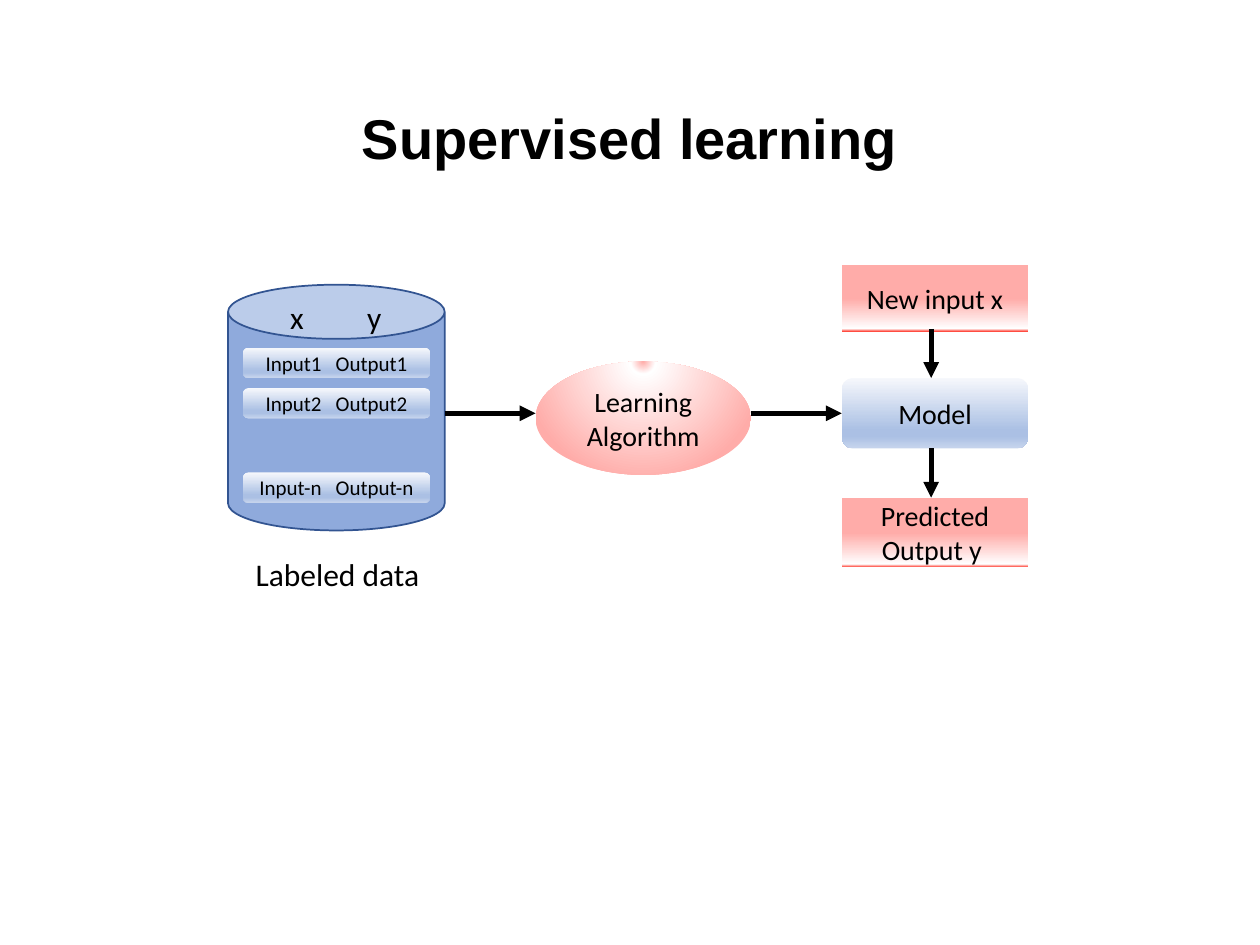
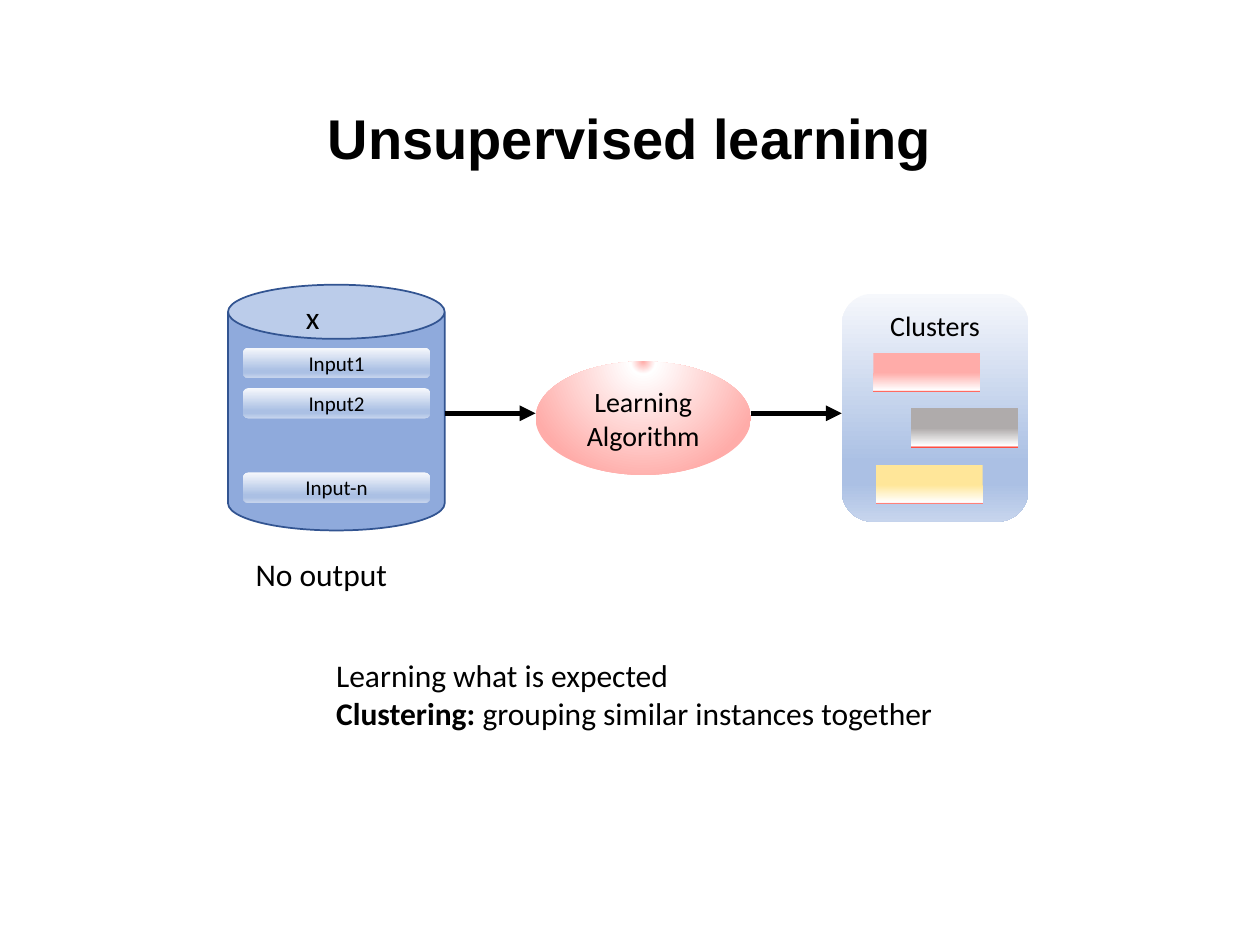
"""Build two slides that compare supervised and unsupervised learning."""
import lxml.etree
import pptx
import pptx.dml.color
import pptx.enum.shapes
import pptx.enum.text
import pptx.oxml
import pptx.oxml.ns
import pptx.util

Pt = pptx.util.Pt
RGBColor = pptx.dml.color.RGBColor
Shape = pptx.enum.shapes.MSO_SHAPE
Anchor = pptx.enum.text.MSO_ANCHOR
Align = pptx.enum.text.PP_ALIGN
qn = pptx.oxml.ns.qn

BLACK = RGBColor(0x00, 0x00, 0x00)
WHITE = RGBColor(0xFF, 0xFF, 0xFF)
CAN_FILL = RGBColor(0x8F, 0xAA, 0xDC)
CAN_LINE = RGBColor(0x32, 0x54, 0x91)
PINK = RGBColor(0xFF, 0xAC, 0xA9)
RED = RGBColor(0xFF, 0x4C, 0x41)
GRAY = RGBColor(0xAF, 0xAB, 0xAB)
YELLOW = RGBColor(0xFF, 0xE6, 0x99)
BLUE_PALE = RGBColor(0xF6, 0xF8, 0xFC)
BLUE_MID = RGBColor(0xAB, 0xC0, 0xE4)
BLUE_SOFT = RGBColor(0xC7, 0xD5, 0xED)

DOWN = '<a:lin ang="5400000" scaled="0"/>'
FROM_TOP = ('<a:path path="circle">'
            '<a:fillToRect l="50000" t="-80000" r="50000" b="180000"/></a:path>')
BLUE_STOPS = [(0, BLUE_PALE), (74, BLUE_MID), (83, BLUE_MID), (100, BLUE_SOFT)]
OVAL_STOPS = [(0, PINK), (10, WHITE), (100, PINK)]
PINK_STOPS, GRAY_STOPS, YELLOW_STOPS = (
    [(51, color), (96, WHITE), (100, RED)] for color in (PINK, GRAY, YELLOW))

CAN_LEFT, CAN_WIDTH = 130.3, 123.8
ROW_LEFT, RESULT_LEFT, RESULT_WIDTH = 139, 481, 106.6
ARROW_LEVEL, DOWN_ARROW_LEFT = 236.16, 532.1
ROW_TOPS = [198.7, 221.8, 270]


def write(box, paragraphs, size, align=Align.LEFT, tabs=()):
    """Write paragraphs, each a list of (words, bold) pairs, into a box."""
    frame = box.text_frame
    frame.word_wrap = True
    for index, spans in enumerate(paragraphs):
        para = frame.paragraphs[0] if index == 0 else frame.add_paragraph()
        para.alignment = align
        if tabs:
            properties = para._p.get_or_add_pPr()
            tab_list = lxml.etree.SubElement(properties, qn("a:tabLst"))
            for position, kind in tabs:
                lxml.etree.SubElement(tab_list, qn("a:tab"), pos=str(Pt(position)), algn=kind)
        for words, bold in spans:
            span = para.add_run()
            span.text = words
            span.font.name = "Calibri"
            span.font.size = Pt(size)
            span.font.bold = bold
            span.font.color.rgb = BLACK


def add_gradient(page, kind, left, top, width, height, stops, direction=DOWN):
    """Add a borderless shape with a gradient fill."""
    shape = page.shapes.add_shape(kind, Pt(left), Pt(top), Pt(width), Pt(height))
    shape.shadow.inherit = False
    shape.line.fill.background()
    shape.fill.solid()
    stop_xml = "".join(
        f'<a:gs pos="{place * 1000}"><a:srgbClr val="{color}"/></a:gs>' for place, color in stops)
    gradient = pptx.oxml.parse_xml(
        f'<a:gradFill {pptx.oxml.ns.nsdecls("a")} rotWithShape="1">'
        f"<a:gsLst>{stop_xml}</a:gsLst>{direction}</a:gradFill>")
    properties = shape.element.spPr
    properties.replace(properties.find(qn("a:solidFill")), gradient)
    shape.text_frame.vertical_anchor = Anchor.MIDDLE
    return shape


deck = pptx.Presentation()
deck.slide_width, deck.slide_height = Pt(720), Pt(540)

lessons = [
    ("Supervised learning", ["\tInput1\tOutput1", "\tInput2\tOutput2", "\tInput-n\tOutput-n"],
     "x\ty", 11, "Labeled data"),
    ("Unsupervised learning", ["Input1", "Input2", "Input-n"], "x", 20, "No output"),
]

for title, rows, header, header_inset, caption in lessons:
    supervised = title == "Supervised learning"
    page = deck.slides.add_slide(deck.slide_layouts[5])

    heading = page.shapes.title
    heading.left, heading.top, heading.width, heading.height = Pt(49.7), Pt(28.8), Pt(620.6), Pt(104.4)
    heading.text_frame.vertical_anchor = Anchor.MIDDLE
    para = heading.text_frame.paragraphs[0]
    para.alignment = Align.CENTER
    para.line_spacing = 0.9
    span = para.add_run()
    span.text = title
    span.font.name = "Arial"
    span.font.size = Pt(32)
    span.font.bold = True
    span.font.color.rgb = BLACK

    can = page.shapes.add_shape(Shape.CAN, Pt(CAN_LEFT), Pt(162.7), Pt(CAN_WIDTH), Pt(140.4))
    can.shadow.inherit = False
    can.fill.solid()
    can.fill.fore_color.rgb = CAN_FILL
    can.line.color.rgb = CAN_LINE
    can.line.width = Pt(1)

    algorithm = add_gradient(page, Shape.OVAL, 306, 206.6, 123.1, 64.8, OVAL_STOPS, FROM_TOP)
    write(algorithm, [[("Learning Algorithm", False)]], 16, Align.CENTER)

    arrows = [(CAN_LEFT + CAN_WIDTH, ARROW_LEVEL, 306, ARROW_LEVEL),
              (429.1, ARROW_LEVEL, RESULT_LEFT, ARROW_LEVEL)]
    if supervised:
        arrows += [(DOWN_ARROW_LEFT, 187.9, DOWN_ARROW_LEFT, 216),
                   (DOWN_ARROW_LEFT, 256.3, DOWN_ARROW_LEFT, 284.4)]
        for kind, top, height, words, stops in [
                (Shape.RECTANGLE, 151.2, 38.2, "New input x", PINK_STOPS),
                (Shape.ROUNDED_RECTANGLE, 216, 40.32, "Model", BLUE_STOPS),
                (Shape.RECTANGLE, 284.4, 39.6, "Predicted Output y ", PINK_STOPS)]:
            step = add_gradient(page, kind, RESULT_LEFT, top, RESULT_WIDTH, height, stops)
            write(step, [[(words, False)]], 16, Align.CENTER)
            if words == "Model":
                model = step
    else:
        clusters = add_gradient(page, Shape.ROUNDED_RECTANGLE, RESULT_LEFT, 167.8,
                                RESULT_WIDTH, 130.3, BLUE_STOPS)
        clusters.text_frame.vertical_anchor = Anchor.TOP
        write(clusters, [[("Clusters", False)]], 16, Align.CENTER)
        for left, top, stops in [(499, 201.6, PINK_STOPS), (520.6, 233.3, GRAY_STOPS),
                                 (500.4, 265.7, YELLOW_STOPS)]:
            add_gradient(page, Shape.RECTANGLE, left, top, 61.2, 22.3, stops)

    for index, ends in enumerate(arrows):
        arrow = page.shapes.add_connector(
            pptx.enum.shapes.MSO_CONNECTOR.STRAIGHT, *[Pt(length) for length in ends])
        if supervised and index == 1:
            arrow.end_connect(model, 1)
        arrow.line.color.rgb = BLACK
        arrow.line.width = Pt(3)
        lxml.etree.SubElement(arrow.line._get_or_add_ln(), qn("a:tailEnd"), type="triangle")
        lxml.etree.SubElement(arrow.element.spPr, qn("a:effectLst"))

    for top, words in zip(ROW_TOPS, rows):
        row = add_gradient(page, Shape.ROUNDED_RECTANGLE, ROW_LEFT, top, RESULT_WIDTH, 17.3, BLUE_STOPS)
        row.text_frame.margin_left = row.text_frame.margin_right = 0
        if supervised:
            write(row, [[(words, False)]], 12, tabs=[(44, "r"), (52, "l")])
        else:
            write(row, [[(words, False)]], 12, Align.CENTER)

    header_box = page.shapes.add_textbox(Pt(154.8), Pt(167), Pt(81.4), Pt(28.8))
    header_box.text_frame.margin_left = Pt(header_inset)
    write(header_box, [[(header, False)]], 18, tabs=[(44, "l")] if supervised else ())

    caption_box = page.shapes.add_textbox(Pt(ROW_LEFT), Pt(313.9), Pt(115.2), Pt(28.8))
    write(caption_box, [[(caption, False)]], 18)

    if not supervised:
        summary = page.shapes.add_textbox(Pt(185), Pt(371.5), Pt(365.8), Pt(51.1))
        write(summary, [[("Learning what is expected", False)],
                        [("Clustering: ", True), ("grouping similar instances together", False)]], 18)

deck.save("out.pptx")
